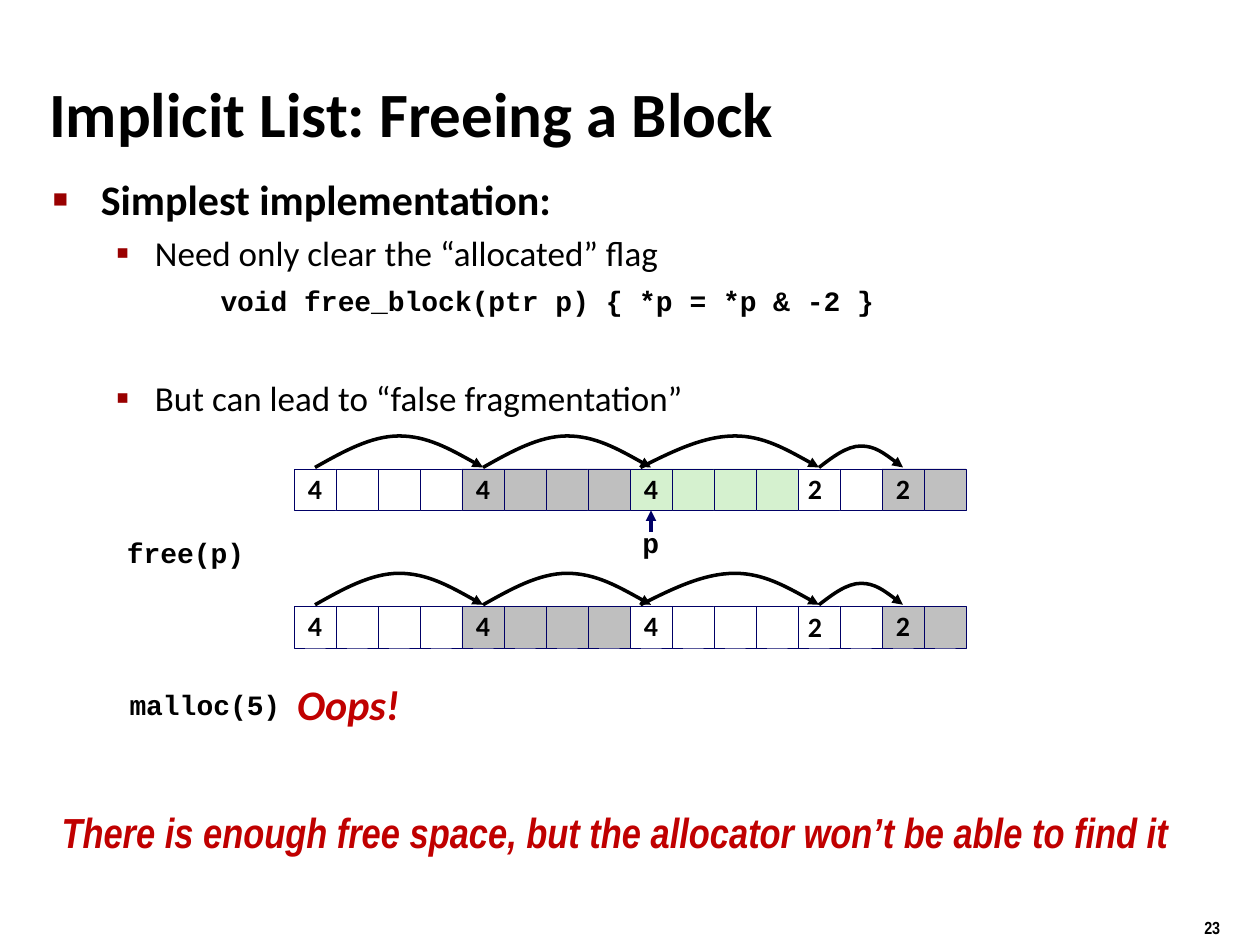
from dataclasses import dataclass

from lxml.etree import SubElement
from pptx import Presentation
from pptx.dml.color import RGBColor
from pptx.enum.shapes import MSO_CONNECTOR, MSO_SHAPE
from pptx.enum.text import MSO_ANCHOR, MSO_AUTO_SIZE, PP_ALIGN
from pptx.oxml.ns import qn
from pptx.util import Inches, Pt

COLORS = {
    "text": "000000",
    "bullet": "990000",
    "alert": "C00000",
    "outline": "000066",
    "free": "FFFFFF",
    "allocated": "BFBFBF",
    "last": "C0C0C0",
    "target": "D5F1CF",
}
CELL = 1 / 3
ROW_LEFT = 7 * CELL


@dataclass
class Block:
    size: int
    fill: str
    label_in_box: bool = False


@dataclass
class Arc:
    """A jump between blocks; start, peak and end are counted in cells."""
    start: float
    peak: float
    end: float
    height: float


@dataclass
class Label:
    text: str
    left: float
    top: float
    width: float
    height: float
    font: str
    size: float
    color: str = "text"
    italic: bool = False
    spacing: float = 1.0


@dataclass
class ListItem:
    text: str
    size: float
    margin: float
    indent: float
    space_before: float
    level: int = 0
    bullet: str = ""
    bullet_percent: int = 100
    font: str = "Calibri"
    bold: bool = False


ARCS = [
    Arc(0.5, 2.5, 4.5, 0.25),
    Arc(4.5, 6.5, 8.5, 0.25),
    Arc(8.25, 10.5, 12.5, 0.25),
    Arc(12.5, 13.5, 14.5, 0.17),
]
ITEMS = [
    ListItem("Simplest implementation:", 24, 0.38, -0.38, 4.8,
             bullet="■", bullet_percent=60, bold=True),
    ListItem("Need only clear the “allocated” flag", 20, 0.81, -0.31, 4,
             level=1, bullet="▪", bullet_percent=110),
    ListItem("void free_block(ptr p) { *p = *p & -2 }", 16, 1.33, 0, 6,
             font="Courier New", bold=True),
    ListItem("But can lead to “false fragmentation”", 20, 0.81, -0.31, 33.5,
             level=1, bullet="▪", bullet_percent=110),
]
LABELS = [
    Label("free(p)", 0.91, 4.22, 1.2, 0.35, "Courier New", 16, spacing=0.94),
    Label("p", 5, 4.14, 0.36, 0.35, "Courier New", 16, spacing=0.94),
    Label("malloc(5)", 0.93, 5.43, 1.5, 0.35, "Courier New", 16, spacing=0.94),
    Label("Oops!", 2.26, 5.33, 1.08, 0.51, "Calibri", 24, "alert", True, 1.02),
    Label("There is enough free space, but the allocator won’t be able to find it",
          0.39, 6.35, 9.2, 0.8, "Arial Narrow", 24, "alert", True),
    Label("23", 9.46, 7.23, 0.74, 0.26, "Arial Narrow", 10),
]


def rgb(name: str) -> RGBColor:
    return RGBColor.from_string(COLORS[name])


def format_runs(paragraph, font: str, size: float, color: str = "text",
                bold: bool = True, italic: bool = False) -> None:
    for run in paragraph.runs:
        run.font.name = font
        run.font.size = Pt(size)
        run.font.bold = bold
        run.font.italic = italic
        run.font.color.rgb = rgb(color)


def place(shape, left: float, top: float, width: float, height: float) -> None:
    shape.left, shape.top = Inches(left), Inches(top)
    shape.width, shape.height = Inches(width), Inches(height)


def add_label(slide, label: Label) -> None:
    box = slide.shapes.add_textbox(Inches(label.left), Inches(label.top),
                                   Inches(label.width), Inches(label.height))
    frame = box.text_frame
    frame.word_wrap = False
    frame.auto_size = MSO_AUTO_SIZE.SHAPE_TO_FIT_TEXT
    frame.text = label.text
    paragraph = frame.paragraphs[0]
    paragraph.line_spacing = label.spacing
    format_runs(paragraph, label.font, label.size, label.color, italic=label.italic)


def add_arrowhead(line) -> None:
    SubElement(line._get_or_add_ln(), qn("a:tailEnd"), type="triangle")


def add_cell(slide, left: float, top: float, fill: str, text: str) -> None:
    cell = slide.shapes.add_shape(MSO_SHAPE.RECTANGLE, Inches(left), Inches(top),
                                  Inches(CELL), Inches(CELL))
    cell.shadow.inherit = False
    cell.fill.solid()
    cell.fill.fore_color.rgb = rgb(fill)
    cell.line.color.rgb = rgb("outline")
    cell.line.width = Pt(0.25)
    if text:
        frame = cell.text_frame
        frame.word_wrap = False
        frame.vertical_anchor = MSO_ANCHOR.MIDDLE
        frame.text = text
        paragraph = frame.paragraphs[0]
        paragraph.alignment = PP_ALIGN.CENTER
        paragraph.line_spacing = 0.98
        format_runs(paragraph, "Calibri", 16)


def add_arc(slide, arc: Arc, base: float) -> None:
    """Draw two Bezier halves whose handles sit at thirds of each half."""
    start, peak, end = (ROW_LEFT + x * CELL for x in (arc.start, arc.peak, arc.end))
    rise, fall = (peak - start) / 3, (end - peak) / 3
    middle, crest = base - arc.height / 2, base - arc.height
    points = [(start + rise, middle), (peak - rise, crest), (peak, crest),
              (peak + fall, crest), (end - fall, middle), (end, base)]
    builder = slide.shapes.build_freeform(Inches(start), Inches(base))
    builder.add_line_segments([(Inches(x), Inches(y)) for x, y in points], close=False)
    shape = builder.convert_to_shape()
    path = next(shape._element.iter(qn("a:path")))
    segments = path.findall(qn("a:lnTo"))
    for first in range(0, len(segments), 3):
        curve = SubElement(path, qn("a:cubicBezTo"))
        for segment in segments[first:first + 3]:
            curve.append(segment[0])
            path.remove(segment)
    shape.shadow.inherit = False
    shape.fill.background()
    shape.line.color.rgb = rgb("text")
    shape.line.width = Pt(2)
    add_arrowhead(shape.line)


def add_heap(slide, top: float, third_fill: str) -> None:
    blocks = [Block(4, "free"), Block(4, "allocated"), Block(4, third_fill),
              Block(2, "free", label_in_box=True), Block(2, "last")]
    column = 0
    for block in blocks:
        for offset in range(block.size):
            text = str(block.size) if offset == 0 and not block.label_in_box else ""
            add_cell(slide, ROW_LEFT + (column + offset) * CELL, top, block.fill, text)
        if block.label_in_box:
            add_label(slide, Label(str(block.size), ROW_LEFT + column * CELL - 0.02,
                                   top - 0.01, 0.32, 0.36, "Calibri", 16, spacing=0.98))
        column += block.size
    for arc in ARCS:
        add_arc(slide, arc, top - 0.01)


def add_pointer(slide, x: float, bottom: float, top: float) -> None:
    pointer = slide.shapes.add_connector(MSO_CONNECTOR.STRAIGHT, Inches(x), Inches(bottom),
                                         Inches(x), Inches(top))
    pointer.line.color.rgb = rgb("outline")
    pointer.line.width = Pt(2)
    add_arrowhead(pointer.line)
    SubElement(pointer._element.spPr, qn("a:effectLst"))


def format_item(paragraph, item: ListItem) -> None:
    paragraph.text = item.text
    paragraph.level = item.level
    paragraph.space_before = Pt(item.space_before)
    format_runs(paragraph, item.font, item.size, bold=item.bold)
    properties = paragraph._p.get_or_add_pPr()
    properties.set("marL", str(Inches(item.margin)))
    properties.set("indent", str(Inches(item.indent)))
    if not item.bullet:
        SubElement(properties, qn("a:buNone"))
        return
    color = SubElement(properties, qn("a:buClr"))
    SubElement(color, qn("a:srgbClr"), val=COLORS["bullet"])
    SubElement(properties, qn("a:buSzPct"), val=str(item.bullet_percent * 1000))
    SubElement(properties, qn("a:buFont"), typeface="Arial")
    SubElement(properties, qn("a:buChar"), char=item.bullet)


def main() -> None:
    presentation = Presentation()
    presentation.slide_width, presentation.slide_height = Inches(10), Inches(7.5)
    slide = presentation.slides.add_slide(presentation.slide_layouts[1])

    title, body = slide.placeholders
    place(title, 0.29, 0.58, 7.87, 0.63)
    title.text_frame.text = "Implicit List: Freeing a Block"
    title.text_frame.auto_size = MSO_AUTO_SIZE.NONE
    title.text_frame.vertical_anchor = MSO_ANCHOR.MIDDLE
    title.text_frame.paragraphs[0].alignment = PP_ALIGN.LEFT
    format_runs(title.text_frame.paragraphs[0], "Calibri", 36)

    place(body, 0.32, 1.33, 9.08, 4.75)
    frame = body.text_frame
    frame.auto_size = MSO_AUTO_SIZE.NONE
    for index, item in enumerate(ITEMS):
        format_item(frame.add_paragraph() if index else frame.paragraphs[0], item)

    add_heap(slide, 3.72, "target")
    add_heap(slide, 4.81, "free")
    add_pointer(slide, ROW_LEFT + 8.5 * CELL, 4.22, 4.05)
    for label in LABELS:
        add_label(slide, label)
    presentation.save("out.pptx")


if __name__ == "__main__":
    main()
